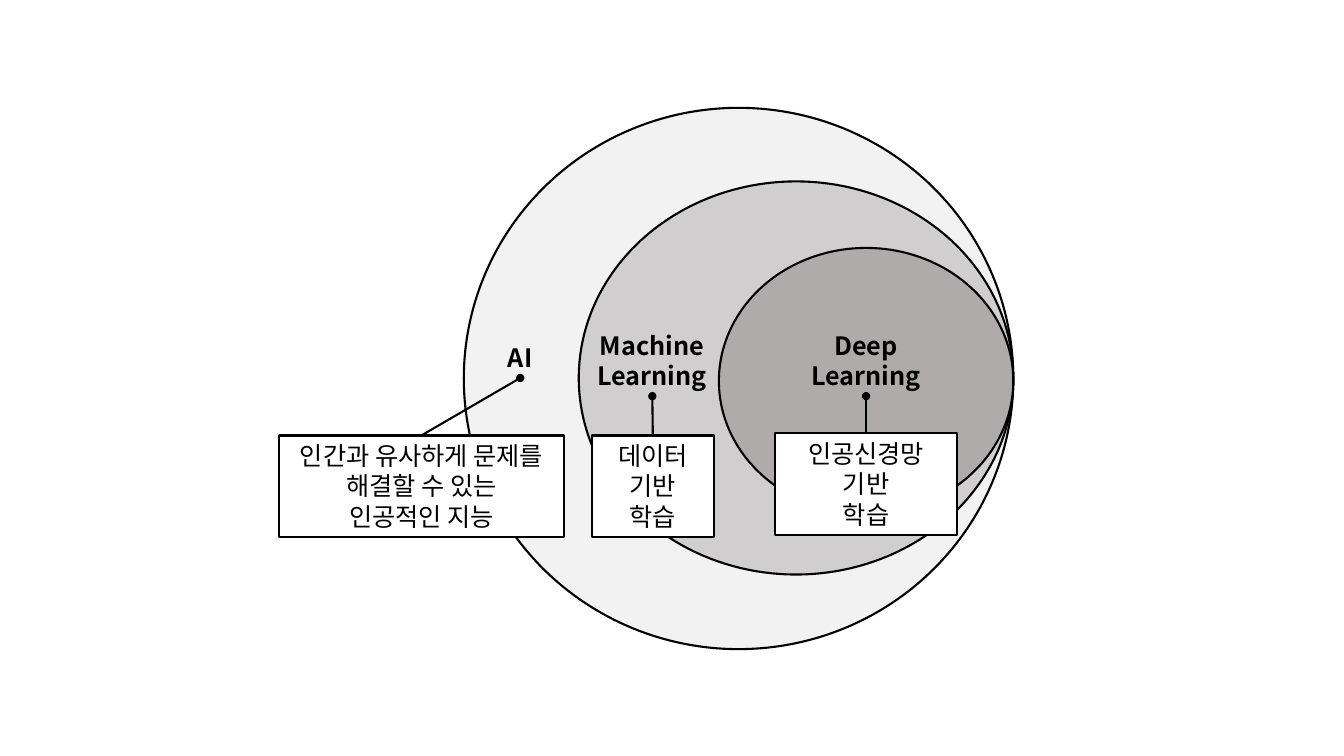
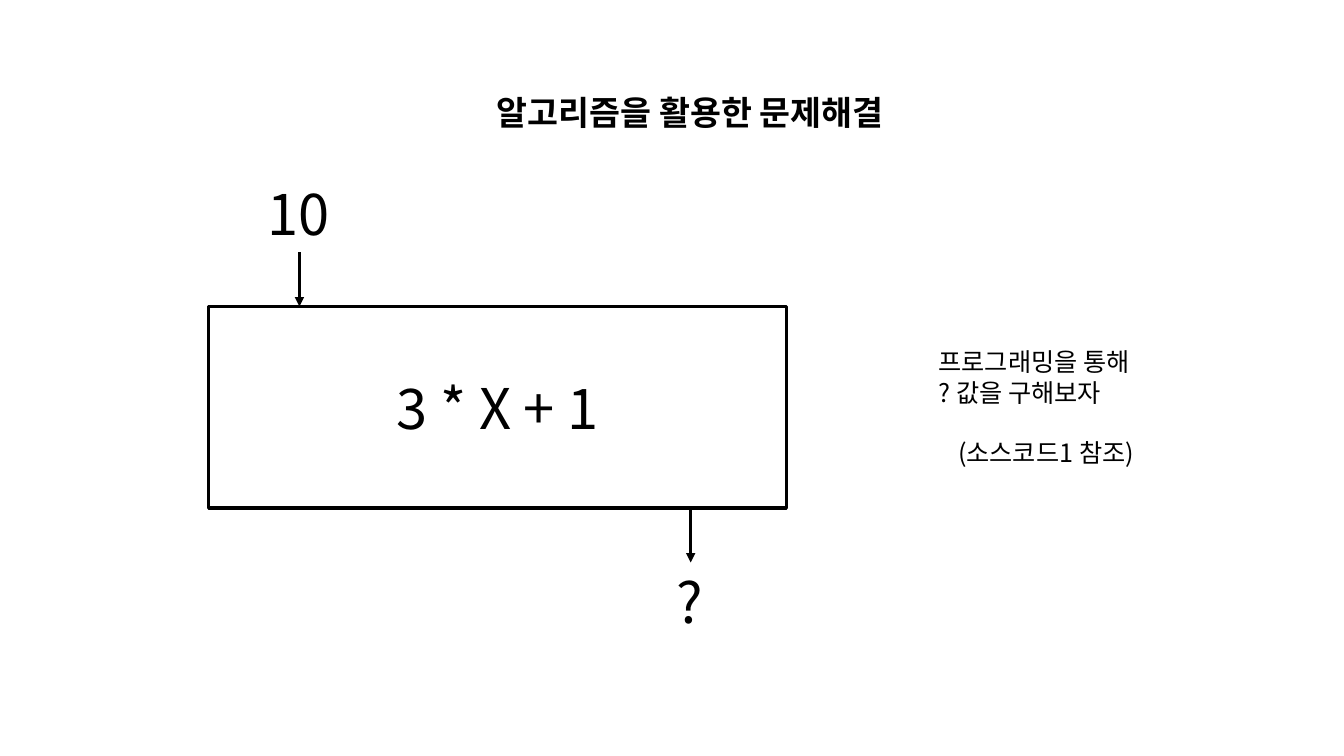
from pptx import Presentation
from pptx.dml.color import RGBColor
from pptx.enum.shapes import MSO_CONNECTOR, MSO_SHAPE
from pptx.enum.text import MSO_ANCHOR, PP_ALIGN
from pptx.oxml.ns import qn
from pptx.util import Inches, Pt
from lxml import etree

STRAIGHT = MSO_CONNECTOR.STRAIGHT
RECT, OVAL = MSO_SHAPE.RECTANGLE, MSO_SHAPE.OVAL
TOP, MIDDLE = MSO_ANCHOR.TOP, MSO_ANCHOR.MIDDLE
LEFT, CENTER = PP_ALIGN.LEFT, PP_ALIGN.CENTER

FONT = "Noto Sans CJK KR"
BLACK, WHITE = "000000", "FFFFFF"
BODY, TITLE, LARGE = 18, 24, 40
LEADING = 1.2
THIN, THICK = 1.5, 2.25
CIRCLES_RIGHT = 10.05


def rgb(color):
    return RGBColor.from_string(color)


def write(tf, lines, size=BODY, bold=False, align=CENTER, anchor=TOP):
    tf.word_wrap = True
    tf.vertical_anchor = anchor
    for i, line in enumerate(lines):
        p = tf.paragraphs[0] if i == 0 else tf.add_paragraph()
        p.alignment = align
        p.line_spacing = Pt(size * LEADING)
        r = p.add_run()
        r.text = line
        r.font.name = FONT
        r.font.size = Pt(size)
        r.font.bold = bold
        r.font.color.rgb = rgb(BLACK)
        ea = etree.SubElement(r.font._element, qn("a:ea"))
        ea.set("typeface", FONT)


def add_text(s, x, y, w, h, lines, **style):
    sp = s.shapes.add_textbox(Inches(x), Inches(y), Inches(w), Inches(h))
    write(sp.text_frame, lines, **style)
    return sp.text_frame


def add_outlined(s, kind, x, y, w, h, fill=None, weight=THIN):
    sp = s.shapes.add_shape(kind, Inches(x), Inches(y), Inches(w), Inches(h))
    sp.shadow.inherit = False
    if fill:
        sp.fill.solid()
        sp.fill.fore_color.rgb = rgb(fill)
    else:
        sp.fill.background()
    sp.line.color.rgb = rgb(BLACK)
    sp.line.width = Pt(weight)
    return sp


def add_line(s, x1, y1, x2, y2, weight, end, marker):
    line = s.shapes.add_connector(
        STRAIGHT, Inches(x1), Inches(y1), Inches(x2), Inches(y2))
    line.line.color.rgb = rgb(BLACK)
    line.line.width = Pt(weight)
    etree.SubElement(line.line._get_or_add_ln(), qn(end)).set("type", marker)
    etree.SubElement(line._element.spPr, qn("a:effectLst"))
    return line


def add_callout(s, x, y, w, h, lines, dot):
    sp = add_outlined(s, RECT, x, y, w, h, WHITE)
    write(sp.text_frame, lines)
    line = add_line(s, *dot, x + w / 2, y, THIN, "a:headEnd", "oval")
    line.end_connect(sp, 0)


def add_arrow(s, x, y, length):
    add_line(s, x, y, x, y + length, THICK, "a:tailEnd", "triangle")


def build_ai_scope(s):
    for y, w, h, fill in [(1.07, 5.45, 5.37, "F2F2F2"),
                          (1.8, 4.31, 3.9, "D0CECE"),
                          (2.46, 2.92, 2.64, "AFABAB")]:
        add_outlined(s, OVAL, CIRCLES_RIGHT - w, y, w, h, fill)
    for x, y, w, h, lines in [
            (4.46, 3.35, 1.4, 0.4, ["AI"]),
            (5.63, 3.23, 1.67, 0.71, ["Machine", "Learning"]),
            (7.89, 3.23, 1.4, 0.71, ["Deep", "Learning"])]:
        add_text(s, x, y, w, h, lines, bold=True)
    for x, y, w, lines, dot in [
            (2.77, 4.32, 2.82,
             ["인간과 유사하게 문제를 해결할 수 있는", "인공적인 지능"], (5.16, 3.75)),
            (5.87, 4.32, 1.21, ["데이터", "기반", "학습"], (6.47, 3.93)),
            (7.69, 4.3, 1.8, ["인공신경망", "기반", "학습"], (8.59, 3.93))]:
        add_callout(s, x, y, w, 1.01, lines, dot)


def build_algorithm(s):
    add_text(s, 4.48, 0.86, 4.73, 0.5, ["알고리즘을 활용한 문제해결"],
             size=TITLE, bold=True)
    box = add_outlined(s, RECT, 2.07, 3.04, 5.73, 2, weight=THICK)
    write(box.text_frame, ["3 * X + 1"], size=LARGE, anchor=MIDDLE)
    for x, y, value in [(2.4, 1.73, "10"), (6.28, 5.58, "?")]:
        add_text(s, x, y, 1.13, 0.77, [value], size=LARGE)
    for x, y in [(2.97, 2.5), (6.85, 5.04)]:
        add_arrow(s, x, y, 0.54)
    tf = add_text(s, 9.21, 3.39, 2.33, 1.31,
                  ["프로그래밍을 통해", "? 값을 구해보자", "(소스코드1 참조)"],
                  align=LEFT)
    reference = tf.paragraphs[-1]
    reference.alignment = CENTER
    reference.space_before = Pt(BODY * LEADING)


def main():
    prs = Presentation()
    prs.slide_width, prs.slide_height = Inches(13.33), Inches(7.5)
    for build in (build_ai_scope, build_algorithm):
        build(prs.slides.add_slide(prs.slide_layouts[6]))
    prs.save("out.pptx")


if __name__ == "__main__":
    main()
